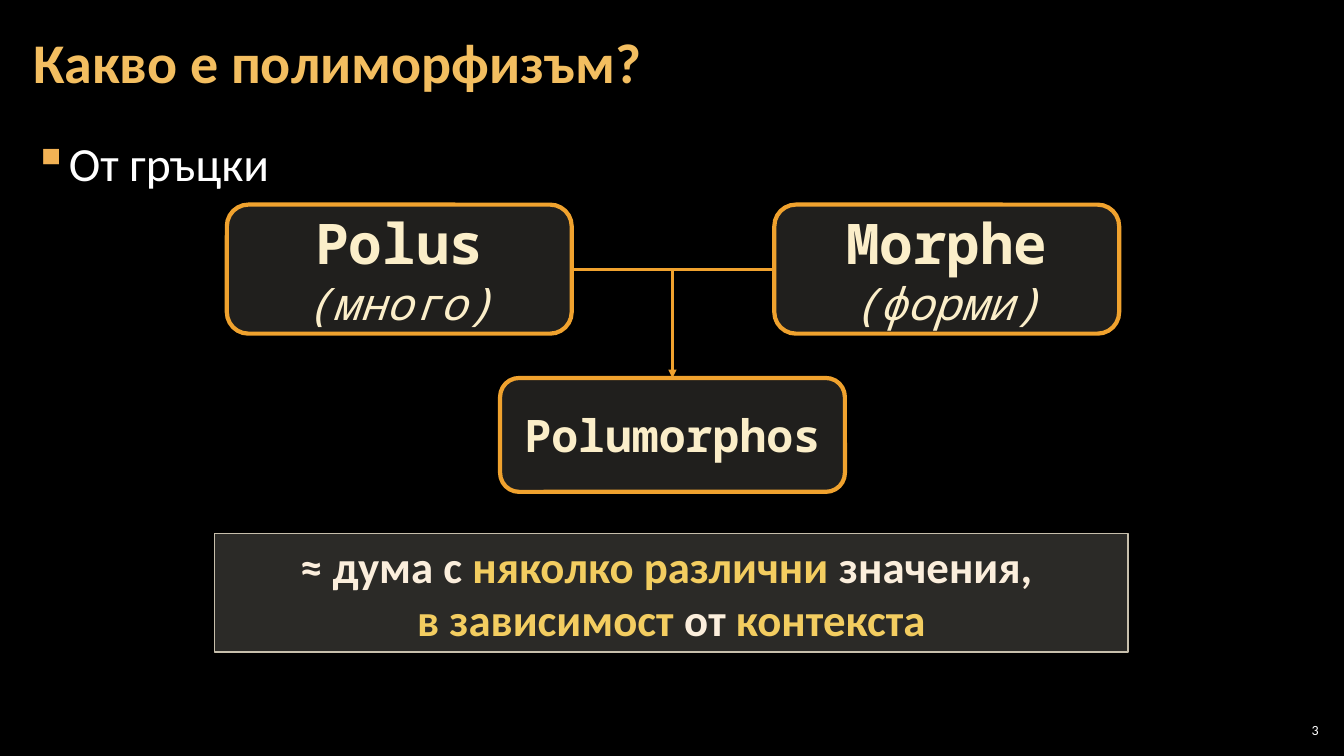
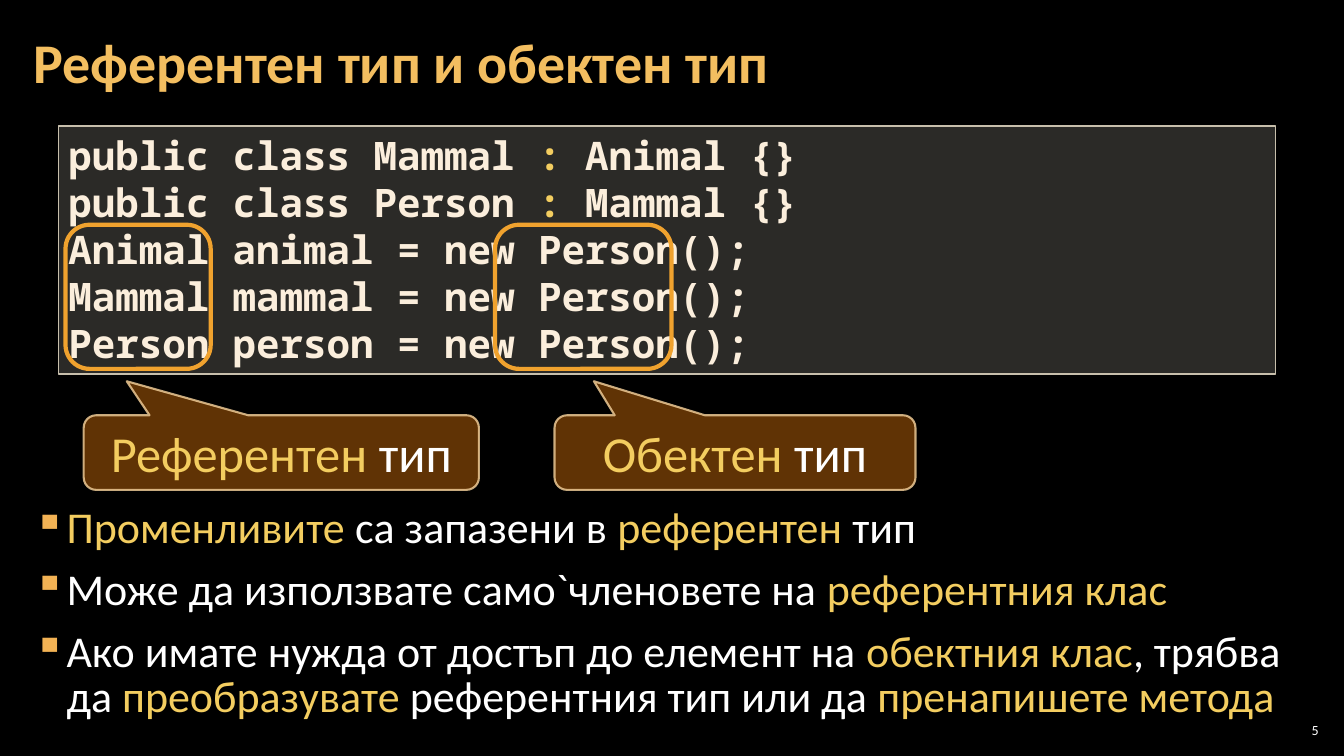
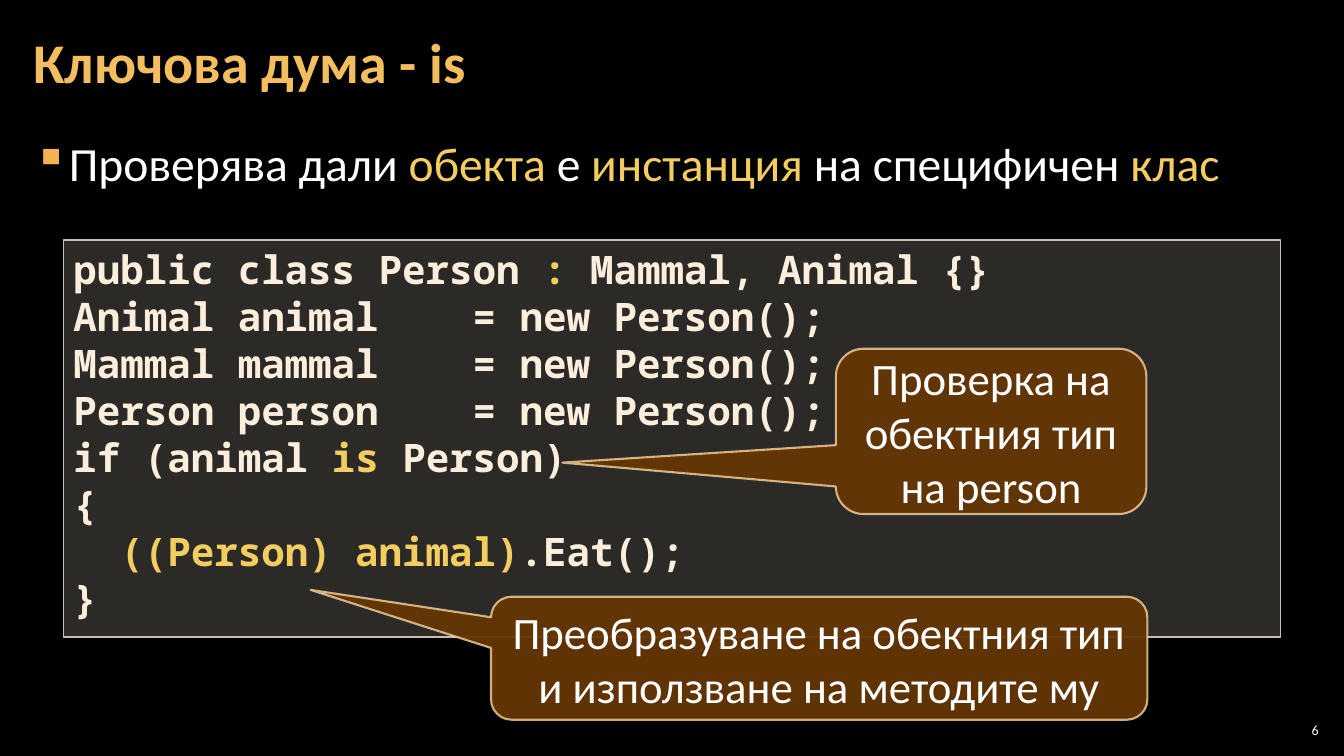
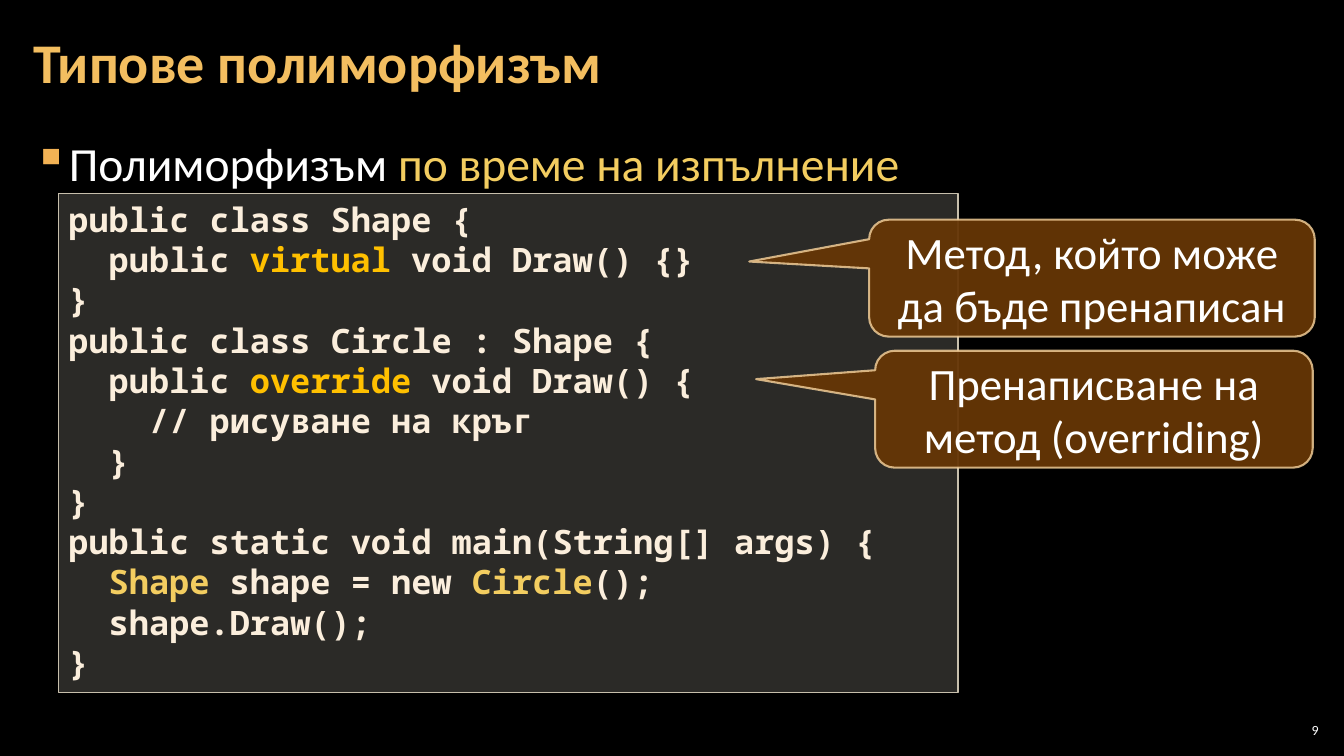
from lxml import etree
from pptx import Presentation
from pptx.dml.color import RGBColor
from pptx.enum.shapes import MSO_CONNECTOR, MSO_SHAPE
from pptx.enum.text import MSO_ANCHOR, MSO_AUTO_SIZE, PP_ALIGN
from pptx.oxml.ns import qn
from pptx.util import Inches, Pt

RECT, ROUNDED = MSO_SHAPE.RECTANGLE, MSO_SHAPE.ROUNDED_RECTANGLE
CALLOUT = MSO_SHAPE.ROUNDED_RECTANGULAR_CALLOUT
STRAIGHT = MSO_CONNECTOR.STRAIGHT
TOP, MIDDLE = MSO_ANCHOR.TOP, MSO_ANCHOR.MIDDLE
LEFT, CENTER, RIGHT = PP_ALIGN.LEFT, PP_ALIGN.CENTER, PP_ALIGN.RIGHT

BLACK = RGBColor(0x00, 0x00, 0x00)
WHITE = RGBColor(0xFF, 0xFF, 0xFF)
TITLE_GOLD = RGBColor(0xF3, 0xBE, 0x60)
BULLET_GOLD = RGBColor(0xF2, 0xB2, 0x54)
ACCENT = RGBColor(0xF3, 0xCD, 0x60)
AMBER = RGBColor(0xFF, 0xC0, 0x00)
ORANGE = RGBColor(0xF0, 0xA2, 0x2E)
CREAM = RGBColor(0xFB, 0xEE, 0xC9)
CODE_TEXT = RGBColor(0xFB, 0xEE, 0xDC)
PANEL = RGBColor(0xD9, 0xD5, 0xC7)
PANEL_LINE = RGBColor(0xC7, 0xBF, 0xAC)
BROWN = RGBColor(0x66, 0x36, 0x06)
BROWN_LINE = RGBColor(0xF8, 0xD4, 0x9E)
SANS, MONO = "Calibri", "Noto Sans Mono"

# Content: *...* marks accent words, *~...* marks amber words.
# Callouts are (text, box, pointer tip); boxes are (left, top, width, height).
BODY_BOX = (0.21, 1.26, 12.91, 6.09)
WORDS = [("Polus", "(много)", 2.25), ("Morphe", "(форми)", 7.68)]
WORD_TOP, WORD_WIDTH, WORD_HEIGHT = 2.03, 3.42, 1.28
RESULT, RESULT_BOX = "Polumorphos", (4.96, 3.75, WORD_WIDTH, 1.13)
MEANING = ["≈ дума с *няколко различни *значения, ",
           "*в зависимост *от *контекста*"]
MEANING_BOX = (2.13, 5.29, 9.06, 1.18)
TYPE_FRAMES = [(0.65, 2.23, 1.44, 1.43), (4.91, 2.23, 1.75, 1.43)]

SLIDES = [
    {"number": 3, "title": "Какво е полиморфизъм?", "bullets": ["От гръцки"]},
    {
        "number": 5,
        "title": "Референтен тип и обектен тип",
        "bullets": [
            "*Променливите *са запазени в *референтен *тип",
            "Може да използвате само`членовете на *референтния клас*",
            "Ако имате нужда от достъп до елемент на *обектния клас*, трябва да "
            "*преобразувате *референтния тип или да *пренапишете метода*",
        ],
        "body": {"box": (0.21, 5, 12.91, 2.25), "size": 31.4, "spacing": 0.85},
        "code": [
            "public class Mammal *:* Animal {}",
            "public class Person *: *Mammal {}",
            "Animal animal = new Person();",
            "Mammal mammal = new Person();",
            "Person person = new Person();",
        ],
        "code_box": (0.58, 1.25, 12.07, 2.46),
        "callout_size": 36,
        "callouts": [
            ("*Референтен *тип", (0.83, 4.12, 3.92, 0.74), (-0.391, -0.956)),
            ("*Обектен *тип", (5.5, 4.12, 3.58, 0.74), (-0.391, -0.956)),
        ],
    },
    {
        "number": 6,
        "title": "Ключова дума - is",
        "bullets": ["Проверява дали *обекта *е *инстанция *на специфичен *клас*"],
        "code": [
            "public class Person *:* Mammal, Animal {}",
            "Animal animal    = new Person();",
            "Mammal mammal    = new Person();",
            "Person person    = new Person();",
            "if (animal *is* Person)",
            "{",
            "  *((Person) animal)*.Eat();",
            "}",
        ],
        "code_box": (0.63, 2.38, 12.07, 3.94),
        "callouts": [
            ("Преобразуване на обектния тип и използване на методите му",
             (4.87, 5.92, 6.51, 1.22), (-0.775, -0.556)),
            ("Проверка на обектния тип на person",
             (8.29, 3.46, 3.08, 1.64), (-1.381, 0.189)),
        ],
    },
    {
        "number": 9,
        "title": "Типове полиморфизъм",
        "bullets": ["Полиморфизъм *по време на изпълнение*"],
        "code": [
            "public class Shape {",
            "  public *~virtual* void Draw() {}",
            "}",
            "public class Circle : Shape {",
            "  public *~override *void Draw() {",
            "    // рисуване на кръг",
            "  }",
            "}",
            "public static void main(String[] args) {",
            "  *Shape* shape = new *Circle*();",
            "  shape.Draw();",
            "}",
        ],
        "code_box": (0.58, 1.92, 8.92, 4.95),
        "code_size": 24,
        "callouts": [
            ("Метод, който може да бъде пренаписан",
             (8.62, 2.18, 4.42, 1.16), (-0.769, -0.142)),
            ("Пренаписване на метод (overriding)",
             (8.68, 3.48, 4.34, 1.16), (-0.772, -0.257)),
        ],
    },
]


def set_alpha(fill_parent, percent):
    color = fill_parent.find(qn("a:solidFill")).find(qn("a:srgbClr"))
    etree.SubElement(color, qn("a:alpha"), val=str(percent * 1000))


def add_bullet(paragraph):
    props = paragraph._p.get_or_add_pPr()
    indent = Inches(0.33)
    props.set("marL", str(indent))
    props.set("indent", str(-indent))
    color = etree.SubElement(props, qn("a:buClr"))
    etree.SubElement(color, qn("a:srgbClr"), val=str(BULLET_GOLD))
    etree.SubElement(props, qn("a:buChar"), char="▪")


def write(frame, lines, size, color, font=SANS, bold=False, italic=False,
          align=LEFT, anchor=TOP, wrap=True, spacing=None, bullets=False,
          gap=0, margins=None, first=True):
    """Write one paragraph per line; first=False adds below existing text."""
    frame.word_wrap = wrap
    frame.vertical_anchor = anchor
    if margins:
        side, edge = (Inches(m) for m in margins)
        frame.margin_left = frame.margin_right = side
        frame.margin_top = frame.margin_bottom = edge
    for index, line in enumerate(lines):
        is_first = first and index == 0
        paragraph = frame.paragraphs[0] if is_first else frame.add_paragraph()
        if bullets:
            add_bullet(paragraph)
        paragraph.alignment = align
        if spacing:
            paragraph.line_spacing = spacing
        if gap:
            paragraph.space_after = Pt(gap)
            paragraph.space_before = Pt(0 if is_first else gap)
        for part, words in enumerate(line.split("*")):
            if not words:
                continue
            run = paragraph.add_run()
            run.text = words.lstrip("~")
            run.font.name, run.font.size = font, Pt(size)
            run.font.bold, run.font.italic = bold, italic
            marked = AMBER if words.startswith("~") else ACCENT
            run.font.color.rgb = marked if part % 2 else color


def add_text(slide, box, lines, size, color, **style):
    frame = slide.shapes.add_textbox(*map(Inches, box)).text_frame
    write(frame, lines, size, color, **style)


def add_box(slide, kind, box, line, width, fill=None, alpha=100):
    shape = slide.shapes.add_shape(kind, *map(Inches, box))
    shape.shadow.inherit = False
    shape.line.color.rgb = line
    shape.line.width = Pt(width)
    if fill is None:
        shape.fill.background()
    else:
        shape.fill.solid()
        shape.fill.fore_color.rgb = fill
        set_alpha(shape.element.spPr, alpha)
    return shape


def add_panel(slide, box, lines, size, **style):
    panel = add_box(slide, RECT, box, PANEL_LINE, 1, PANEL, 20)
    write(panel.text_frame, lines, size, CODE_TEXT, bold=True, **style)
    panel.text_frame.auto_size = MSO_AUTO_SIZE.SHAPE_TO_FIT_TEXT


def add_frame(slide, box):
    return add_box(slide, ROUNDED, box, ORANGE, 3, PANEL, 15)


def add_callout(slide, text, box, tip, size):
    callout = add_box(slide, CALLOUT, box, BROWN_LINE, 1.5, BROWN, 95)
    set_alpha(callout.line._ln, 80)
    callout.adjustments[0], callout.adjustments[1] = tip
    write(callout.text_frame, [text], size, WHITE, align=CENTER, anchor=MIDDLE)


def add_line(slide, start, end):
    line = slide.shapes.add_connector(STRAIGHT, *start, *end)
    line.line.color.rgb = ORANGE
    line.line.width = Pt(2)
    etree.SubElement(line._element.spPr, qn("a:effectLst"))
    return line


def add_base(prs, content):
    """Slide number, bullets and title, as on every slide."""
    slide = prs.slides.add_slide(prs.slide_layouts[6])
    body = {"box": BODY_BOX, "size": 34, "spacing": 1.05}
    body.update(content.get("body", {}))
    add_text(slide, (12.65, 7.14, 0.47, 0.21), [str(content["number"])], 10,
             WHITE, align=RIGHT, anchor=MIDDLE, margins=(0.04, 0.04))
    add_text(slide, lines=content["bullets"], color=WHITE, bullets=True, gap=6,
             margins=(0.12, 0.04), **body)
    add_text(slide, (0.21, 0.04, 10.47, 1.21), [content["title"]], 40,
             TITLE_GOLD, bold=True, anchor=MIDDLE, spacing=0.9,
             margins=(0.12, 0.04))
    return slide


def add_word_diagram(slide):
    label = {"color": CREAM, "font": MONO, "align": CENTER, "anchor": MIDDLE,
             "wrap": False}
    sources = []
    for word, meaning, left in WORDS:
        source = add_frame(slide, (left, WORD_TOP, WORD_WIDTH, WORD_HEIGHT))
        write(source.text_frame, [word], 40, bold=True, **label)
        write(source.text_frame, [meaning], 32, italic=True, first=False, **label)
        sources.append(source)
    result = add_frame(slide, RESULT_BOX)
    write(result.text_frame, [RESULT], 32, bold=True, **label)

    # Bar between the two words, arrow from it to the result
    polus, morphe = sources
    bar_y = polus.top + polus.height // 2
    bar = add_line(slide, (polus.left + polus.width, bar_y), (morphe.left, bar_y))
    bar.begin_connect(polus, 3)
    bar.end_connect(morphe, 1)
    center_x = result.left + result.width // 2
    arrow = add_line(slide, (center_x, bar_y), (center_x, result.top))
    arrow.end_connect(result, 0)
    etree.SubElement(arrow.line._ln, qn("a:tailEnd"), type="triangle")

    add_panel(slide, MEANING_BOX, MEANING, 32, align=CENTER)


def main():
    prs = Presentation()
    prs.slide_width, prs.slide_height = Inches(13.33), Inches(7.5)
    background = prs.slide_master.background.fill
    background.solid()
    background.fore_color.rgb = BLACK

    for content in SLIDES:
        slide = add_base(prs, content)
        if "code" not in content:
            add_word_diagram(slide)
            continue
        add_panel(slide, content["code_box"], content["code"],
                  content.get("code_size", 28), font=MONO)
        # Frames around the two type columns
        if content["number"] == 5:
            for box in TYPE_FRAMES:
                add_box(slide, ROUNDED, box, ORANGE, 3)
        for text, box, tip in content["callouts"]:
            add_callout(slide, text, box, tip, content.get("callout_size", 32))

    prs.save("out.pptx")


if __name__ == "__main__":
    main()
